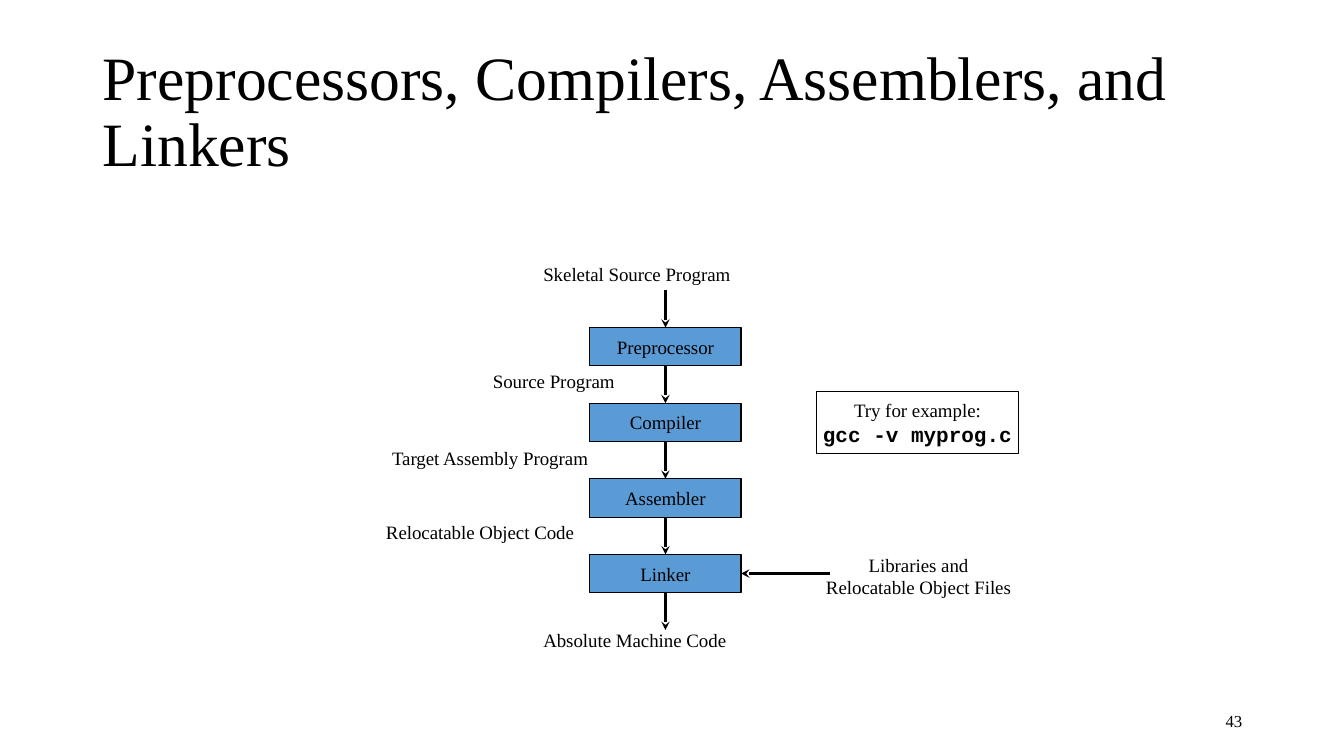
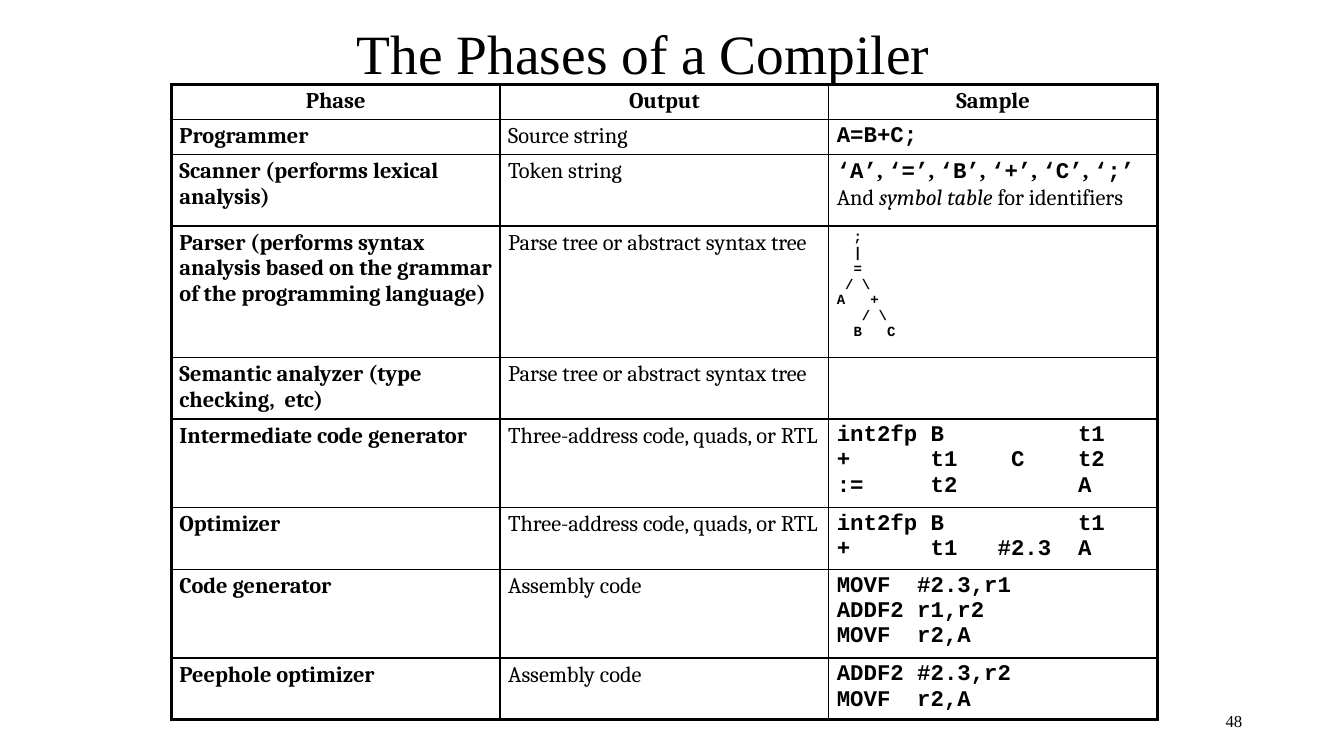
from copy import deepcopy
from dataclasses import dataclass
from itertools import pairwise

from lxml.etree import SubElement
from pptx import Presentation
from pptx.dml.color import RGBColor
from pptx.enum.shapes import MSO_CONNECTOR, MSO_SHAPE
from pptx.enum.text import MSO_ANCHOR, MSO_AUTO_SIZE, PP_ALIGN
from pptx.oxml.ns import qn
from pptx.util import Inches, Pt

BLACK = RGBColor(0x00, 0x00, 0x00)
BLUE = RGBColor(0x5B, 0x9B, 0xD5)
SERIF = "Times New Roman"
TABLE_FONT = "Cambria"
MONO = "Courier New"
LABEL_SIZE = 13.5
TOP, LEFT, BOTTOM, RIGHT = range(4)

STAGE_LEFT, STAGE_TOP, STAGE_PITCH = 5.85, 3.25, 0.75
STAGE_WIDTH, STAGE_HEIGHT = 1.5, 0.38
STAGE_NAMES = ("Preprocessor", "Compiler", "Assembler", "Linker")

TABLE_LEFT, TABLE_TOP, COLUMN_WIDTH = 1.7, 0.84, 3.26
THIN, THICK = 1, 2.25


@dataclass(frozen=True)
class Box:
    left: float
    top: float
    width: float
    height: float

    def lengths(self) -> tuple:
        return tuple(Inches(value) for value in (self.left, self.top, self.width, self.height))


@dataclass(frozen=True)
class Label:
    text: str
    box: Box
    align: PP_ALIGN = PP_ALIGN.LEFT


@dataclass(frozen=True)
class Span:
    text: str
    font: str = TABLE_FONT
    bold: bool = False
    italic: bool = False
    size: float = 16


@dataclass(frozen=True)
class Phase:
    name: str
    output: str
    sample: tuple[Span, ...]
    height: float


def code(text: str, size: float = 16) -> Span:
    return Span(text, MONO, bold=True, size=size)


def token_spans(tokens: str) -> list[Span]:
    """Quoted tokens in code type, parted by commas in the serif font."""
    spans = []
    for token in tokens:
        spans += [code(f"‘{token}’"), Span(", ", SERIF, bold=True)]
    return spans[:-1]


LABELS = (
    Label("Skeletal Source Program", Box(5.29, 2.56, 2.09, 0.33)),
    Label("Source Program", Box(4.79, 3.62, 1.43, 0.33)),
    Label("Target Assembly Program", Box(3.79, 4.38, 2.17, 0.33)),
    Label("Relocatable Object Code", Box(3.73, 5.12, 2.1, 0.33)),
    Label("Absolute Machine Code", Box(5.29, 6.19, 2.04, 0.33)),
    Label("Libraries and\nRelocatable Object Files", Box(8.08, 5.44, 2.06, 0.56), PP_ALIGN.CENTER),
)

HEADINGS = ("Phase", "Output", "Sample")
HEADING_HEIGHT = 0.34
PARSE_TREE = """  ;
  |
  =
 / \\
A   +
   / \\
  B   C"""
PHASES = (
    Phase("Programmer", "Source string", (code("A=B+C;"),), 0.34),
    Phase(
        "Scanner (performs lexical analysis)",
        "Token string",
        (*token_spans("A=B+C;"), Span("\nAnd "), Span("symbol table", italic=True), Span(" for identifiers")),
        0.71,
    ),
    Phase(
        "Parser (performs syntax analysis based on the grammar of the programming language)",
        "Parse tree or abstract syntax tree",
        (code(PARSE_TREE, 10),),
        1.3,
    ),
    Phase("Semantic analyzer (type checking,  etc)", "Parse tree or abstract syntax tree", (), 0.61),
    Phase(
        "Intermediate code generator",
        "Three-address code, quads, or RTL",
        (code("int2fp B          t1\n+      t1    C    t2\n:=     t2         A"),),
        0.87,
    ),
    Phase(
        "Optimizer",
        "Three-address code, quads, or RTL",
        (code("int2fp B          t1\n+      t1   #2.3  A"),),
        0.61,
    ),
    Phase("Code generator", "Assembly code", (code("MOVF  #2.3,r1\nADDF2 r1,r2\nMOVF  r2,A"),), 0.87),
    Phase("Peephole optimizer", "Assembly code", (code("ADDF2 #2.3,r2\nMOVF  r2,A"),), 0.61),
)


def style_font(font, size: float, name: str = SERIF, bold: bool = False, italic: bool = False) -> None:
    font.name, font.size = name, Pt(size)
    font.bold, font.italic = bold, italic
    font.color.rgb = BLACK


def set_text(shape, text: str, size: float, align: PP_ALIGN, wrap: bool, anchor=MSO_ANCHOR.MIDDLE) -> None:
    frame = shape.text_frame
    frame.text = text
    frame.word_wrap = wrap
    frame.vertical_anchor = anchor
    for paragraph in frame.paragraphs:
        paragraph.alignment = align
        for run in paragraph.runs:
            style_font(run.font, size)


def add_titled_slide(presentation, title: str, box: Box, size: float, number: int):
    slide = presentation.slides.add_slide(presentation.slide_layouts[6])
    title_box = slide.shapes.add_textbox(*box.lengths())
    set_text(title_box, title, size, PP_ALIGN.LEFT, wrap=True)
    title_box.text_frame.paragraphs[0].line_spacing = 0.9
    number_box = slide.shapes.add_textbox(*Box(9.42, 6.95, 3, 0.4).lengths())
    set_text(number_box, str(number), 12, PP_ALIGN.RIGHT, wrap=True)
    return slide


def add_label(slide, label: Label) -> None:
    shape = slide.shapes.add_textbox(*label.box.lengths())
    set_text(shape, label.text, LABEL_SIZE, label.align, wrap=False, anchor=MSO_ANCHOR.TOP)
    shape.text_frame.auto_size = MSO_AUTO_SIZE.SHAPE_TO_FIT_TEXT


def add_rectangle(slide, text: str, box: Box, fill: RGBColor | None = None):
    shape = slide.shapes.add_shape(MSO_SHAPE.RECTANGLE, *box.lengths())
    shape.shadow.inherit = False
    if fill is None:
        shape.fill.background()
    else:
        shape.fill.solid()
        shape.fill.fore_color.rgb = fill
    shape.line.color.rgb = BLACK
    shape.line.width = Pt(0.75)
    set_text(shape, text, LABEL_SIZE, PP_ALIGN.CENTER, wrap=False)
    return shape


def add_arrow(slide, start: tuple[float, float], end: tuple[float, float]):
    points = (Inches(value) for value in (*start, *end))
    arrow = slide.shapes.add_connector(MSO_CONNECTOR.STRAIGHT, *points)
    arrow.line.color.rgb = BLACK
    arrow.line.width = Pt(2)
    SubElement(arrow.line._get_or_add_ln(), qn("a:tailEnd"), type="stealth")
    SubElement(arrow._element.spPr, qn("a:effectLst"))
    return arrow


def build_toolchain_slide(presentation) -> None:
    slide = add_titled_slide(
        presentation, "Preprocessors, Compilers, Assemblers, and Linkers", Box(0.92, 0.4, 11.5, 1.45), 44, 43
    )
    stages = [
        add_rectangle(
            slide, name, Box(STAGE_LEFT, STAGE_TOP + index * STAGE_PITCH, STAGE_WIDTH, STAGE_HEIGHT), BLUE
        )
        for index, name in enumerate(STAGE_NAMES)
    ]
    for label in LABELS:
        add_label(slide, label)

    center = STAGE_LEFT + STAGE_WIDTH / 2
    for index, (upper, lower) in enumerate(pairwise((None, *stages, None))):
        bottom = STAGE_TOP + index * STAGE_PITCH
        arrow = add_arrow(slide, (center, bottom - 0.37), (center, bottom))
        if upper is not None:
            arrow.begin_connect(upper, BOTTOM)
        if lower is not None:
            arrow.end_connect(lower, TOP)
    library_arrow = add_arrow(slide, (8.23, 5.69), (STAGE_LEFT + STAGE_WIDTH, 5.69))
    library_arrow.end_connect(stages[-1], RIGHT)

    example = add_rectangle(slide, "Try for example:\ngcc -v myprog.c", Box(8.1, 3.88, 2, 0.62))
    style_font(example.text_frame.paragraphs[1].runs[0].font, 15, MONO, bold=True)


def write_spans(paragraph, spans: tuple[Span, ...]) -> None:
    """Write the spans as runs; a line break takes the format of the run after it."""
    for span in spans:
        for index, line in enumerate(span.text.split("\n")):
            if index:
                paragraph.add_line_break()
                line_break = paragraph._p[-1]
            run = paragraph.add_run()
            run.text = line
            style_font(run.font, span.size, span.font, span.bold, span.italic)
            if index:
                line_break.append(deepcopy(run._r.rPr))


def set_borders(cell, widths: dict[str, float]) -> None:
    properties = cell._tc.get_or_add_tcPr()
    for side in ("L", "R", "T", "B"):
        line = SubElement(properties, qn(f"a:ln{side}"), w=str(Pt(widths[side])))
        fill = SubElement(line, qn("a:solidFill"))
        SubElement(fill, qn("a:srgbClr"), val=str(BLACK))


def build_phases_slide(presentation) -> None:
    slide = add_titled_slide(presentation, "The Phases of a Compiler", Box(3.44, 0.36, 6.38, 0.41), 39.6, 48)
    rows = [tuple((Span(heading, bold=True),) for heading in HEADINGS)]
    rows += [((Span(phase.name, bold=True),), (Span(phase.output),), phase.sample) for phase in PHASES]
    heights = [HEADING_HEIGHT, *(phase.height for phase in PHASES)]
    last_row, last_column = len(rows) - 1, len(HEADINGS) - 1

    box = Box(TABLE_LEFT, TABLE_TOP, COLUMN_WIDTH * len(HEADINGS), sum(heights))
    table = slide.shapes.add_table(len(rows), len(HEADINGS), *box.lengths()).table
    table.first_row = table.horz_banding = False
    for column in table.columns:
        column.width = Inches(COLUMN_WIDTH)
    for row_index, (row, height) in enumerate(zip(rows, heights)):
        table.rows[row_index].height = Inches(height)
        for column_index, spans in enumerate(row):
            cell = table.cell(row_index, column_index)
            cell.margin_left = cell.margin_right = Inches(0.08)
            cell.margin_top = cell.margin_bottom = Inches(0.04)
            outer = {
                "L": column_index == 0,
                "R": column_index == last_column,
                "T": row_index == 0,
                "B": row_index == last_row,
            }
            set_borders(cell, {side: THICK if is_outer else THIN for side, is_outer in outer.items()})
            cell.fill.background()
            paragraph = cell.text_frame.paragraphs[0]
            paragraph.alignment = PP_ALIGN.CENTER if row_index == 0 else PP_ALIGN.LEFT
            write_spans(paragraph, spans)


def main() -> None:
    presentation = Presentation()
    presentation.slide_width, presentation.slide_height = Inches(13.33), Inches(7.5)
    build_toolchain_slide(presentation)
    build_phases_slide(presentation)
    presentation.save("out.pptx")


if __name__ == "__main__":
    main()
